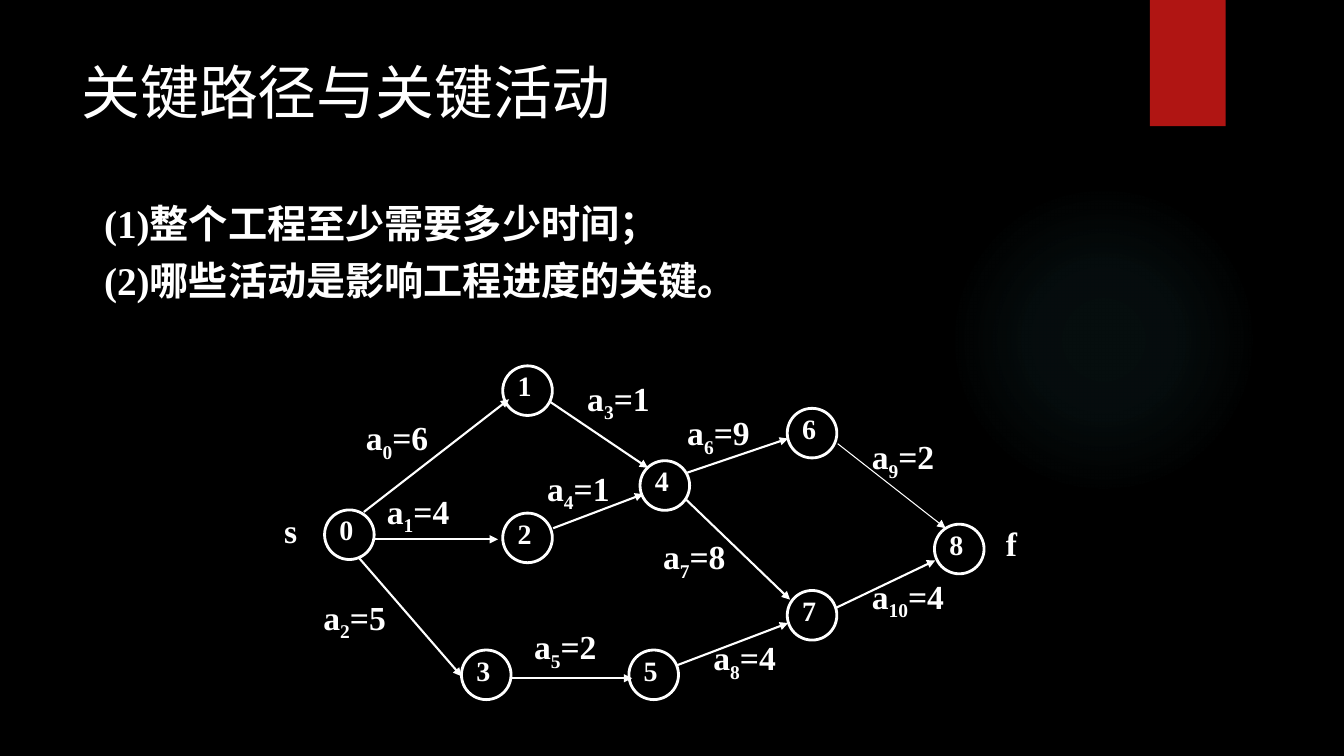
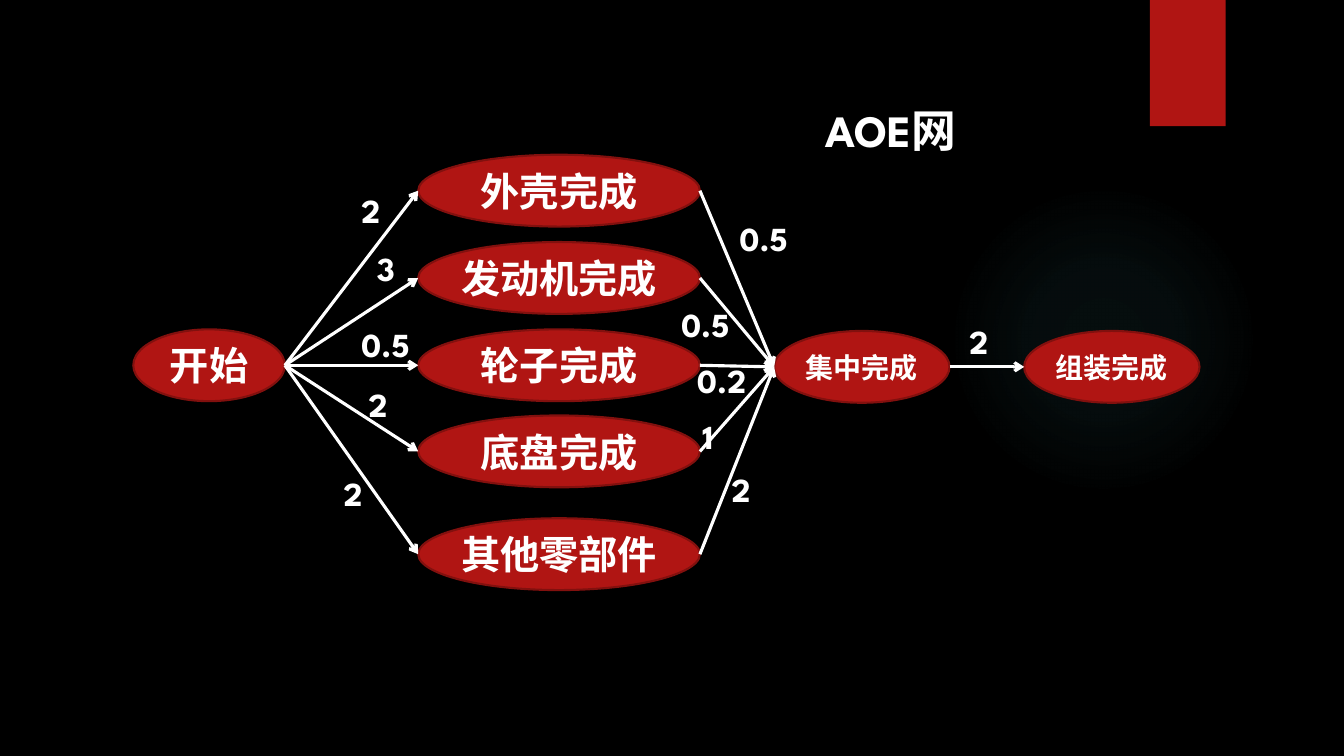
from dataclasses import dataclass

from lxml import etree
from pptx import Presentation
from pptx.dml.color import RGBColor
from pptx.enum import shapes, text
from pptx.oxml import parse_xml
from pptx.oxml.ns import nsdecls, qn
from pptx.util import Cm, Pt


@dataclass(frozen=True)
class Theme:
    back: str = "000000"
    ink: str = "FFFFFF"
    red: str = "B01513"
    rim: str = "82100E"
    glow: str = "50B9C1"
    serif: str = "Times New Roman"
    sans: str = "League Spartan"
    title: int = 42
    heading: int = 32
    body: int = 28
    label: int = 24
    small: int = 20


T = Theme()
LEFT, CENTER, JUSTIFY = text.PP_ALIGN.LEFT, text.PP_ALIGN.CENTER, text.PP_ALIGN.JUSTIFY
TOP, MIDDLE = text.MSO_ANCHOR.TOP, text.MSO_ANCHOR.MIDDLE
OVAL, RECT = shapes.MSO_SHAPE.OVAL, shapes.MSO_SHAPE.RECTANGLE

# All positions are in centimetres.
PATH_TITLE = "关键路径与关键活动"
QUESTIONS = ["(1)整个工程至少需要多少时间；", "(2)哪些活动是影响工程进度的关键。"]
NODE_SIZE = 1.25
NODES = [  # left and top of events 0 to 8
    (8.18, 12.85), (12.67, 9.22), (12.67, 12.93), (11.63, 16.38), (16.13, 11.61),
    (15.85, 16.38), (19.84, 10.29), (19.84, 14.88), (23.55, 13.21),
]
ACTIVITIES = [  # duration, arrow start, arrow end, label corner, line width
    (6, (9.17, 12.9), (12.83, 10.06), (8.97, 10.39), 1.5),
    (4, (9.42, 13.59), (12.55, 13.59), (9.5, 12.24), 1.5),
    (5, (9.04, 14.05), (11.63, 17.04), (7.9, 14.91), 1.5),
    (1, (13.87, 10.13), (16.33, 11.79), (14.55, 9.4), 1.5),
    (1, (13.94, 13.31), (16.21, 12.45), (13.54, 11.66), 1.5),
    (2, (12.88, 17.09), (15.93, 17.09), (13.21, 15.65), 1.5),
    (9, (17.32, 11.91), (19.86, 11.05), (17.07, 10.26), 1.5),
    (8, (17.27, 12.57), (19.91, 15.11), (16.46, 13.39), 1.5),
    (4, (17.07, 16.76), (19.86, 15.7), (17.73, 15.93), 1.5),
    (2, (21.11, 11.18), (23.83, 13.31), (21.72, 10.87), 0.75),
    (4, (21.06, 15.32), (23.57, 14.12), (21.72, 14.38), 1.5),
]
TERMINALS = [("s", (6.91, 12.73)), ("f", (25.1, 13.06))]

AOE_TITLE = "AOE网"
STAGE_HEIGHT = 1.81
START = ("开始", 3.36, 8.3, 3.82, T.body)
GATHERED = ("集中完成", 19.51, 8.34, 4.42, T.small)
ASSEMBLED = ("组装完成", 25.81, 8.34, 4.42, T.small)
ASSEMBLY = ("2", (24.18, 7.95))
PART_LEFT, PART_WIDTH = 10.54, 7.1
PARTS = [  # name, top, label of the way in, label of the way out
    ("外壳完成", 3.9, ("2", (8.86, 4.67)), ("0.5", (18.39, 5.36))),
    ("发动机完成", 6.1, ("3", (9.25, 6.12)), ("0.5", (16.92, 7.54))),
    ("轮子完成", 8.3, ("0.5", (8.86, 8.03)), ("0.2", (17.32, 8.94))),
    ("底盘完成", 10.47, ("2", (9.04, 9.55)), ("1", (17.45, 10.36))),
    ("其他零部件", 13.06, ("2", (8.41, 11.79)), ("2", (18.19, 11.68))),
]


def rgb(value):
    return RGBColor.from_string(value)


def place(sp, *box):
    sp.left, sp.top, sp.width, sp.height = map(Cm, box)


def write(sp, paras, size, font=T.serif, bold=True, align=LEFT, anchor=TOP,
          wrap=False, spacing=None, indent=None, insets=None):
    """Fill sp; a paragraph is a string or a list of (text, baseline) runs."""
    tf = sp.text_frame
    tf.word_wrap, tf.auto_size, tf.vertical_anchor = wrap, text.MSO_AUTO_SIZE.NONE, anchor
    if insets:
        (tf.margin_left, tf.margin_top,
         tf.margin_right, tf.margin_bottom) = map(Cm, insets)
    for i, para in enumerate(paras):
        p = tf.paragraphs[0] if i == 0 else tf.add_paragraph()
        if indent is not None:
            pPr = p._p.get_or_add_pPr()
            pPr.set("marL", str(Cm(indent)))
            pPr.set("indent", "0")
            etree.SubElement(pPr, qn("a:buNone"))
        p.alignment, p.line_spacing, p.space_before = align, spacing, Pt(0)
        for content, baseline in ([(para, 0)] if isinstance(para, str) else para):
            r = p.add_run()
            r.text = content
            r.font.name, r.font.size, r.font.bold = font, Pt(size), bold
            r.font.color.rgb = rgb(T.ink)
            if baseline:
                r._r.get_or_add_rPr().set("baseline", str(baseline * 1000))


def label(s, paras, corner, **fmt):
    write(s.shapes.add_textbox(*map(Cm, corner), Cm(2.4), Cm(1.28)), paras, T.label, **fmt)


def shape(s, kind, box, fill=None, line=None, width=0):
    sp = s.shapes.add_shape(kind, *map(Cm, box))
    sp.shadow.inherit = False
    if fill:
        sp.fill.solid()
        sp.fill.fore_color.rgb = rgb(fill)
    else:
        sp.fill.background()
    if line:
        sp.line.color.rgb, sp.line.width = rgb(line), Pt(width)
    else:
        sp.line.fill.background()
    return sp


def arrow(s, start, end, width, head):
    cxn = s.shapes.add_connector(shapes.MSO_CONNECTOR.STRAIGHT, *map(Cm, start + end))
    cxn.line.color.rgb, cxn.line.width = rgb(T.ink), Pt(width)
    etree.SubElement(cxn.line._get_or_add_ln(), qn("a:tailEnd"), type=head)
    etree.SubElement(cxn.element.spPr, qn("a:effectLst"))
    return cxn


def stage(s, name, left, top, width, size):
    sp = shape(s, OVAL, (left, top, width, STAGE_HEIGHT), T.red, T.rim, 1.5)
    write(sp, [name], size, font=T.sans, align=CENTER, anchor=MIDDLE,
          insets=(0, 0.13, 0, 0.13))
    return sp


def link(s, source, target, caption):
    """Join the right end of one ellipse to the left end of another."""
    points = [(x / Cm(1), (sp.top + sp.height / 2) / Cm(1))
              for sp, x in ((source, source.left + source.width), (target, target.left))]
    cxn = arrow(s, *points, 2.25, "arrow")
    sites = cxn.element.find(".//" + qn("p:cNvCxnSpPr"))
    for tag, sp, site in (("a:stCxn", source, 6), ("a:endCxn", target, 2)):
        etree.SubElement(sites, qn(tag), id=str(sp.shape_id), idx=str(site))
    label(s, [caption[0]], caption[1], font=T.sans)


def decorate_master(prs, s):
    """Give the master its background, glow and band, drawn on s and moved over."""
    master = prs.slide_master
    master.background.fill.solid()
    master.background.fill.fore_color.rgb = rgb(T.back)
    glow = shape(s, OVAL, (23.9, 4.65, 7.82, 7.82))
    stops = "".join(
        f'<a:gs pos="{pos}000"><a:srgbClr val="{T.glow}"><a:alpha val="{alpha}000"/>'
        "</a:srgbClr></a:gs>" for pos, alpha in ((0, 7), (36, 6), (69, 0)))
    no_fill = glow.element.spPr.find(qn("a:noFill"))
    glow.element.spPr.replace(no_fill, parse_xml(
        f'<a:gradFill {nsdecls("a")}><a:gsLst>{stops}</a:gsLst><a:path path="circle">'
        '<a:fillToRect l="50000" t="50000" r="50000" b="50000"/></a:path></a:gradFill>'))
    band = shape(s, RECT, (28.98, 0, 1.91, 3.18), T.red)
    for i, sp in enumerate((glow, band)):
        sp.element.nvSpPr.cNvPr.set("id", str(101 + i))
        master.shapes.element.insert(2 + i, sp.element)


def build_path_slide(s):
    title, body = s.shapes.title, s.placeholders[1]
    place(title, 1.8, 1.27, 30.3, 3.89)
    write(title, [PATH_TITLE], T.title, bold=False, wrap=True)
    place(body, 1.88, 4.67, 30.12, 4.57)
    write(body, QUESTIONS, T.body, align=JUSTIFY, wrap=True, spacing=1.2, indent=0.49)
    for number, corner in enumerate(NODES):
        sp = shape(s, OVAL, corner + (NODE_SIZE, NODE_SIZE), line=T.ink, width=2)
        write(sp, [str(number)], T.small, align=CENTER, anchor=MIDDLE,
              insets=(0, 0, 0.15, 0.25))
    for i, (duration, start, end, corner, width) in enumerate(ACTIVITIES):
        arrow(s, start, end, width, "triangle")
        label(s, [[("a", 0), (str(i), -25), (f"={duration}", 0)]], corner)
    for name, corner in TERMINALS:
        label(s, [name], corner)


def build_aoe_slide(s):
    place(s.shapes.title, 20.55, 2.46, 8.81, 1.63)
    write(s.shapes.title, [AOE_TITLE], T.heading, font=T.sans, wrap=True)
    start, gathered, assembled = (stage(s, *item) for item in (START, GATHERED, ASSEMBLED))
    for name, top, way_in, way_out in PARTS:
        part = stage(s, name, PART_LEFT, top, PART_WIDTH, T.body)
        link(s, start, part, way_in)
        link(s, part, gathered, way_out)
    link(s, gathered, assembled, ASSEMBLY)


def main():
    prs = Presentation()
    prs.slide_width, prs.slide_height = Cm(33.87), Cm(19.05)
    path_slide = prs.slides.add_slide(prs.slide_layouts[1])
    decorate_master(prs, path_slide)
    build_path_slide(path_slide)
    build_aoe_slide(prs.slides.add_slide(prs.slide_layouts[5]))
    prs.save("out.pptx")


if __name__ == "__main__":
    main()
